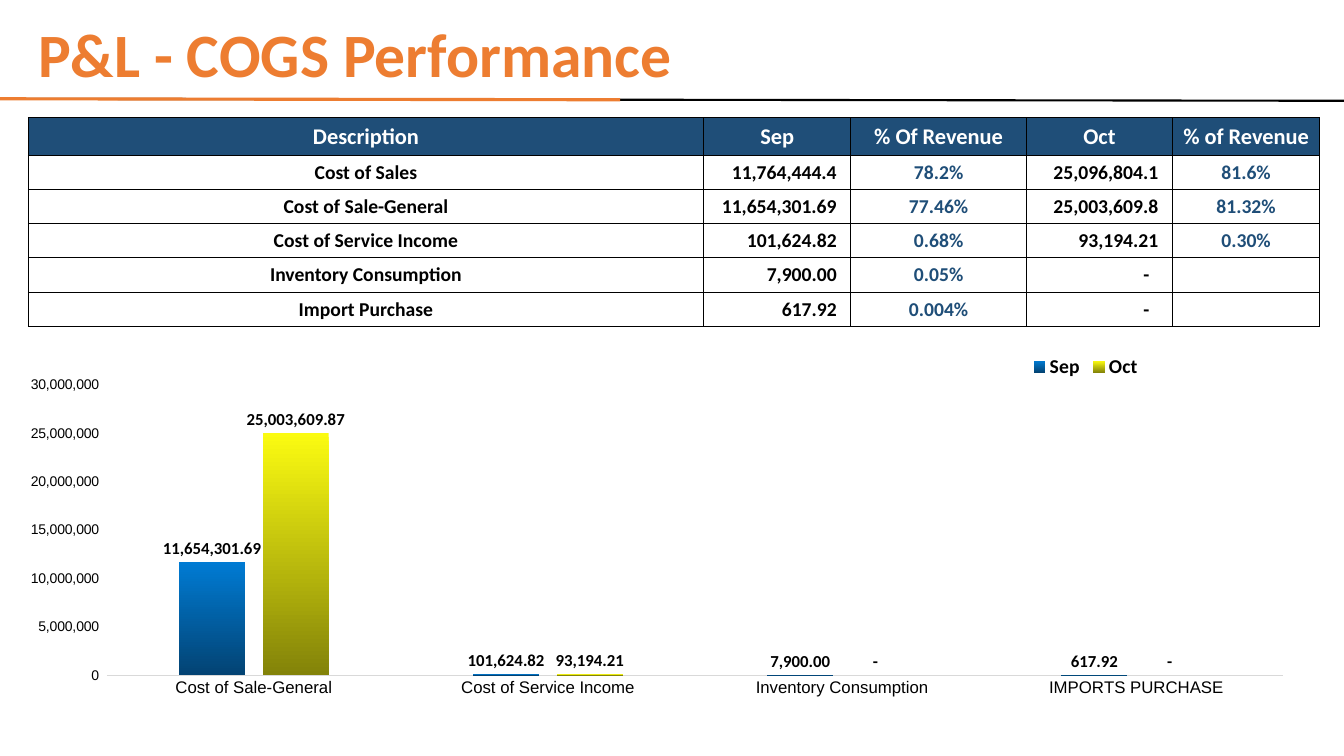
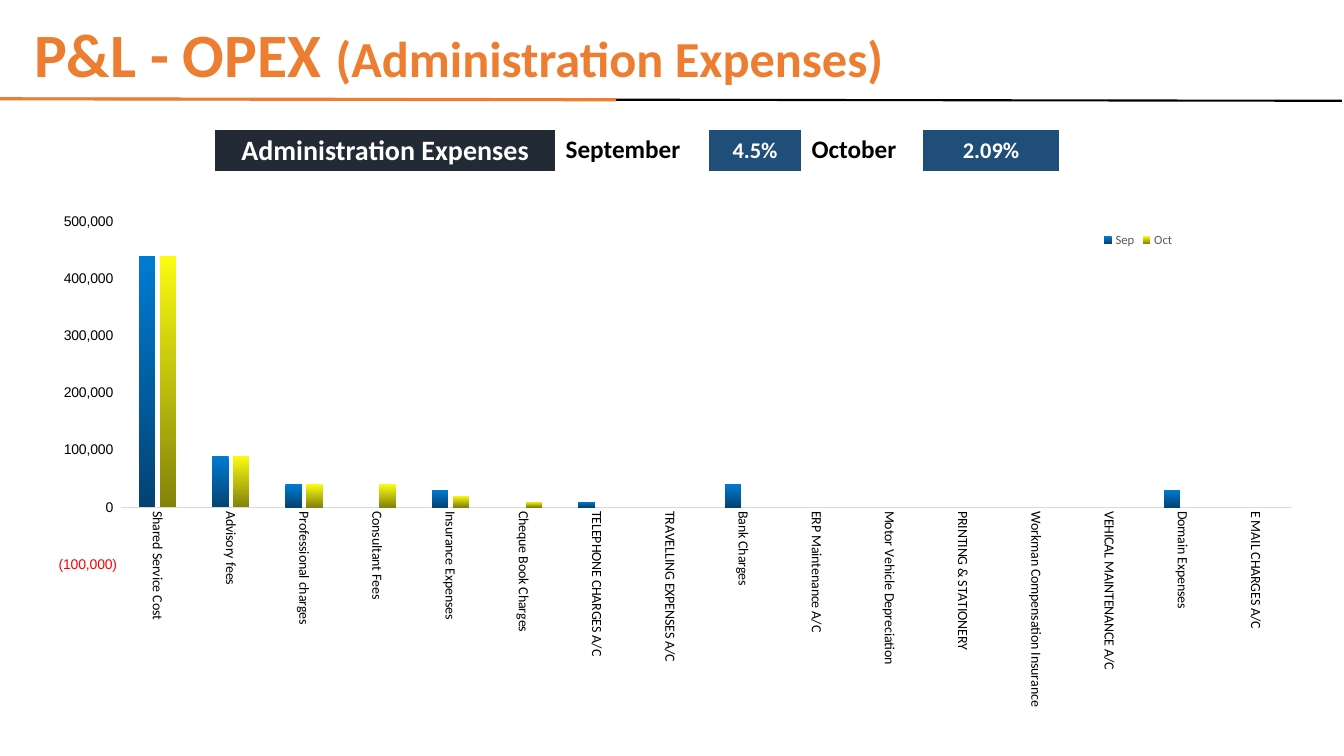
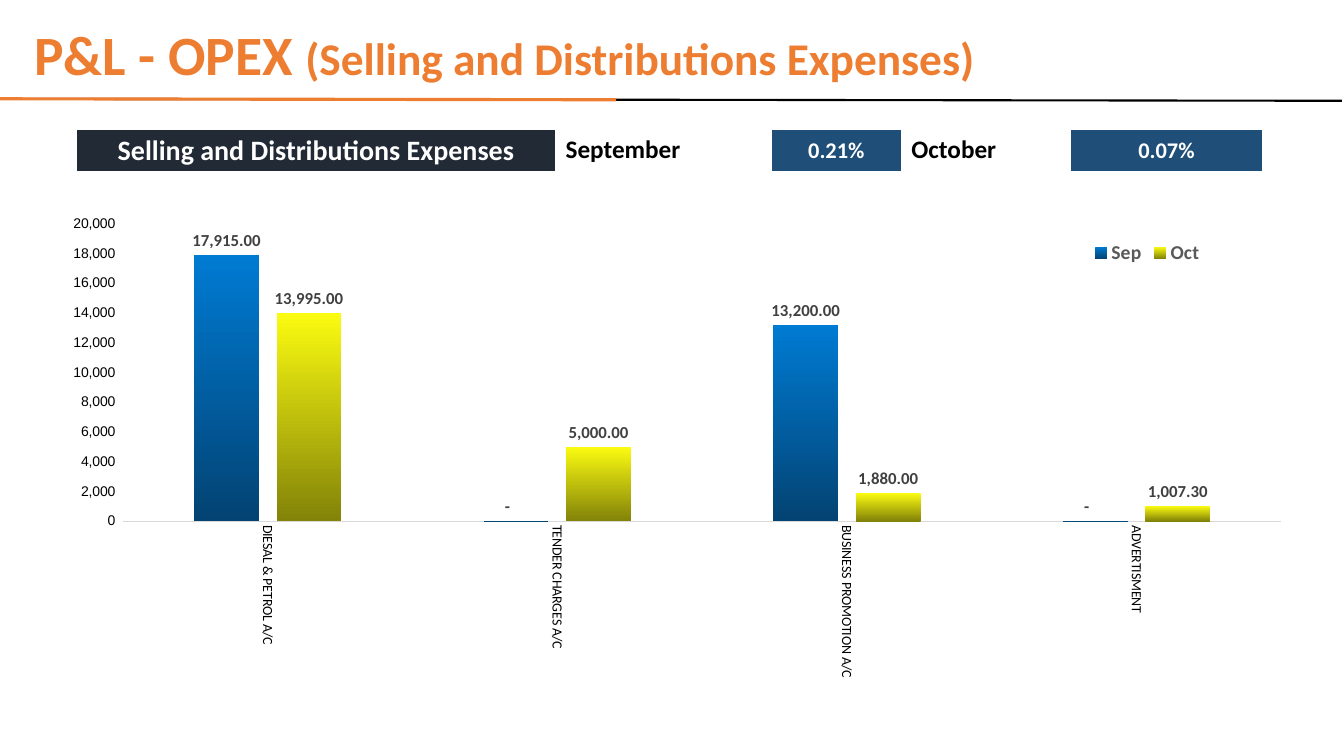
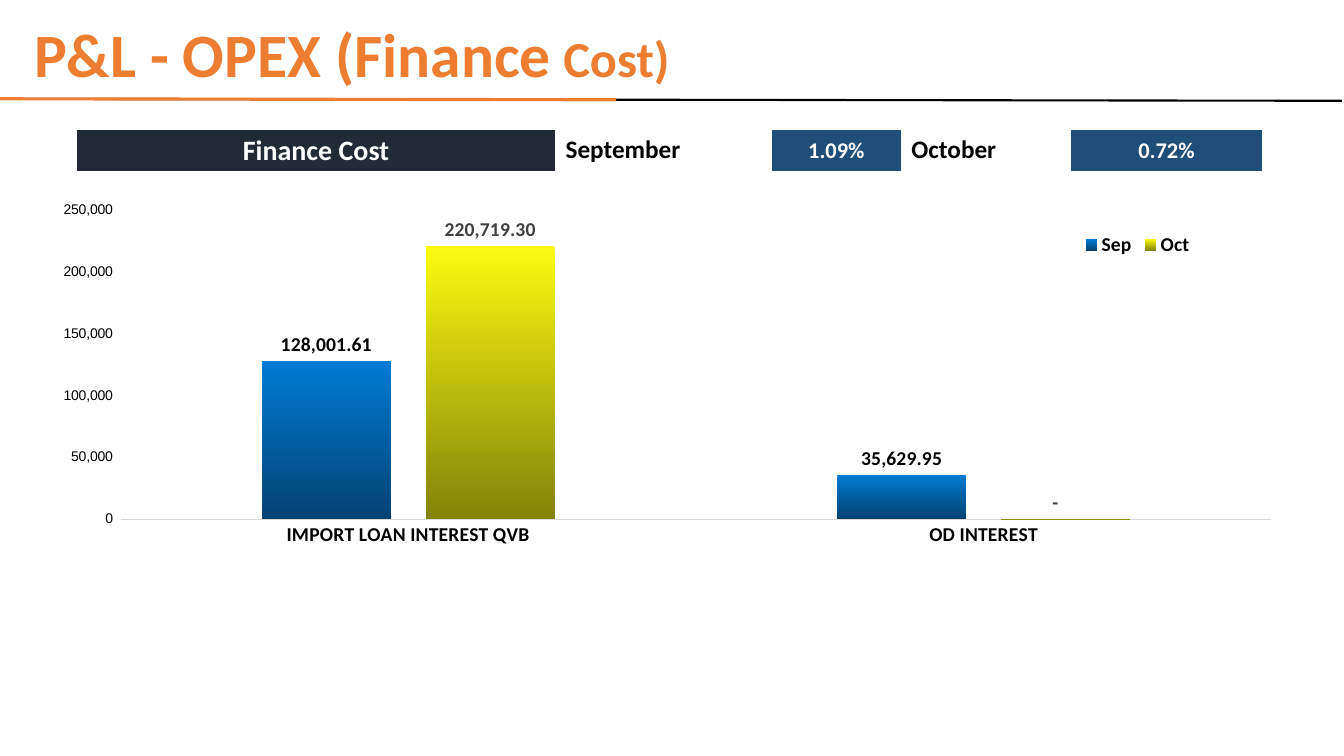
from lxml.etree import SubElement
from pptx import Presentation
from pptx.chart.data import CategoryChartData
from pptx.dml.color import RGBColor
from pptx.enum.chart import XL_CHART_TYPE as CT, XL_LABEL_POSITION as LP
from pptx.enum.chart import XL_LEGEND_POSITION as LEGEND, XL_TICK_MARK as TICK
from pptx.enum.shapes import MSO_CONNECTOR as CONN
from pptx.enum.text import MSO_ANCHOR as ANCHOR, PP_ALIGN as ALIGN
from pptx.oxml import parse_xml
from pptx.oxml.ns import nsdecls, qn
from pptx.util import Emu, Pt

PX = 9144
ORANGE, NAVY, DARK = "ED7D31", "1F4E78", "222A35"
BLACK, WHITE, AXIS = "000000", "FFFFFF", "D9D9D9"
GREY, LABEL_GREY = "595959", "404040"
GRADIENTS = [("007BD3", "034373"), ("FBFB11", "838309")]
AXIS_FORMAT = r"#,##0_);[Red]\(#,##0\)"
LABEL_FORMAT = r'_ * #,##0.00_ ;_ * \-#,##0.00_ ;_ * "-"??_ ;_ @_ '

COGS_COLS = [670, 146, 174, 145, 146]
COGS_HEAD = ["Description", "Sep", "% Of Revenue", "Oct", "% of Revenue"]
COGS_ROWS = [
    ["Cost of Sales", "11,764,444.4", "78.2%", "25,096,804.1", "81.6%"],
    ["Cost of Sale-General", "11,654,301.69", "77.46%", "25,003,609.8", "81.32%"],
    ["Cost of Service Income", "101,624.82", "0.68%", "93,194.21", "0.30%"],
    ["Inventory Consumption", "7,900.00", "0.05%", "-", ""],
    ["Import Purchase", "617.92", "0.004%", "-", ""],
]
COGS_DATA = [
    ("Cost of Sale-General", 11654301.69, 25003609.87),
    ("Cost of Service Income", 101624.82, 93194.21),
    ("Inventory Consumption", 7900, 0),
    ("IMPORTS PURCHASE", 617.92, 0),
]
ADMIN_DATA = [
    ("Shared Service Cost", 440000, 440000),
    ("Advisory fees", 90000, 90000),
    ("Professional charges", 40000, 40000),
    ("Consultant Fees", 0, 40000),
    ("Insurance Expenses", 30000, 20000),
    ("Cheque Book Charges", 0, 10000),
    ("TELEPHONE CHARGES A/C", 10000, 0),
    ("TRAVELLING EXPENSES A/C", 0, 0),
    ("Bank Charges", 40000, 0),
    ("ERP Maintenance A/C", 0, 0),
    ("Motor Vehicle Depreciation", 0, 0),
    ("PRINTING & STATIONERY", 0, 0),
    ("Workman Compensation Insurance", 0, 0),
    ("VEHICAL MAINTENANCE A/C", 0, 0),
    ("Domain Expenses", 30000, 0),
    ("E MAIL CHARGES A/C", 0, 0),
]
SELLING_DATA = [
    ("DIESAL & PETROL A/C", 17915, 13995),
    ("TENDER CHARGES A/C", 0, 5000),
    ("BUSINESS PROMOTION A/C", 13200, 1880),
    ("ADVERTISMENT", 0, 1007.3),
]
FINANCE_DATA = [
    ("IMPORT LOAN INTEREST QVB", 128001.61, 220719.3),
    ("OD INTEREST", 35629.95, 0),
]


def px(*values):
    return [Emu(v * PX) for v in values]


def rgb(color):
    return RGBColor.from_string(color)


def style_font(font, size, color, bold=False, name="Calibri"):
    font.size, font.bold, font.name = Pt(size), bold, name
    font.color.rgb = rgb(color)


def add_run(p, text, size, color):
    r = p.add_run()
    r.text = text
    style_font(r.font, size, color, True)


def add_rule(s, ends, color, width):
    line = s.shapes.add_connector(CONN.STRAIGHT, *px(*ends))
    line.line.color.rgb = rgb(color)
    line.line.width = Pt(width)
    SubElement(line._element.spPr, qn("a:effectLst"))


def add_titled_slide(prs, runs, shift=-4):
    s = prs.slides.add_slide(prs.slide_layouts[6])
    add_rule(s, (3 + shift, 98, 1335 + shift, 100), BLACK, 1.5)
    tf = s.shapes.add_textbox(*px(28 + shift, 12, 996, 91)).text_frame
    tf.word_wrap = True
    tf.vertical_anchor = ANCHOR.MIDDLE
    p = tf.paragraphs[0]
    p.line_spacing = 0.9
    for text, size in runs:
        add_run(p, text, size, ORANGE)
    add_rule(s, (shift, 98, 615 + shift, 99), ORANGE, 2.25)
    return s


def set_borders(cell, color, width, bottom):
    tc_pr = cell._tc.get_or_add_tcPr()
    for side in "LRTB":
        w = bottom if side == "B" else width
        ln = SubElement(tc_pr, qn(f"a:ln{side}"), w=str(Pt(w)))
        fill = SubElement(ln, qn("a:solidFill"))
        SubElement(fill, qn("a:srgbClr"), val=color)


def add_grid(s, left, top, cols, rows):
    frame = s.shapes.add_table(len(rows), len(cols), *px(left, top, sum(cols), sum(rows)))
    table = frame.table
    table.first_row = table.horz_banding = False
    for col, width in zip(table.columns, cols):
        col.width = Emu(width * PX)
    for row, height in zip(table.rows, rows):
        row.height = Emu(height * PX)
    return table


def fill_cell(cell, text, size, color, back, align, anchor=ANCHOR.MIDDLE):
    cell.fill.solid()
    cell.fill.fore_color.rgb = rgb(back)
    cell.vertical_anchor = anchor
    p = cell.text_frame.paragraphs[0]
    p.alignment = align
    if text:
        add_run(p, text, size, color)
    else:
        SubElement(p._p, qn("a:endParaRPr"), sz=str(size * 100))


def add_cogs_table(s):
    table = add_grid(s, 28, 117, COGS_COLS, [37] + [34] * len(COGS_ROWS))
    last = len(COGS_ROWS)
    for i, row in enumerate([COGS_HEAD] + COGS_ROWS):
        for j, text in enumerate(row):
            cell = table.cell(i, j)
            set_borders(cell, BLACK, 0.75, 1.2 if i == last else 0.75)
            if i == 0:
                fill_cell(cell, text, 16, WHITE, NAVY, ALIGN.CENTER)
            elif j in (1, 3):
                fill_cell(cell, text, 14, BLACK, WHITE, ALIGN.RIGHT)
                cell.margin_right = Emu((23 if text == "-" else 14) * PX)
            else:
                fill_cell(cell, text, 14, NAVY if j else BLACK, WHITE, ALIGN.CENTER)


def add_share_table(s, left, cols, name, sep, octo):
    table = add_grid(s, left, 128, cols, [44])
    cells = [
        (name, 20, WHITE, DARK, ALIGN.CENTER, ANCHOR.TOP),
        ("September", 18, BLACK, WHITE, ALIGN.LEFT, ANCHOR.TOP),
        (sep, 16, WHITE, NAVY, ALIGN.CENTER, ANCHOR.MIDDLE),
        ("October", 18, BLACK, WHITE, ALIGN.LEFT, ANCHOR.TOP),
        (octo, 16, WHITE, NAVY, ALIGN.CENTER, ANCHOR.MIDDLE),
    ]
    for j, content in enumerate(cells):
        set_borders(table.cell(0, j), WHITE, 1, 3)
        fill_cell(table.cell(0, j), *content)


def place(element, index, box, area, target=""):
    for old in element.findall(qn("c:layout")):
        element.remove(old)
    origin = area[:2] + (0, 0)
    sizes = area[2:] * 2
    modes = "".join(f'<c:{k}Mode val="edge"/>' for k in "xy")
    parts = "".join(
        f'<c:{k} val="{(v - o) / size:.4f}"/>'
        for k, v, o, size in zip("xywh", box, origin, sizes)
    )
    element.insert(index, parse_xml(
        f'<c:layout {nsdecls("c")}><c:manualLayout>{target}{modes}{parts}'
        "</c:manualLayout></c:layout>"
    ))


def add_columns(s, area, plot_box, legend_at, data, scale, cat_font, legend_font,
                labels=None, turned=False):
    cd = CategoryChartData()
    names, sep, octo = zip(*data)
    cd.categories = names
    cd.add_series("Sep", sep)
    cd.add_series("Oct", octo)
    chart = s.shapes.add_chart(CT.COLUMN_CLUSTERED, *px(*area), cd).chart
    chart.has_title = False
    style_font(chart.font, 10, BLACK)
    plot = chart.plots[0]
    plot.gap_width, plot.overlap, plot.vary_by_categories = 219, -27, False
    for i, (ser, ends) in enumerate(zip(plot.series, GRADIENTS)):
        fill = ser.format.fill
        fill.gradient()
        fill.gradient_angle = 270
        for stop, color in zip(fill.gradient_stops, ends):
            stop.color.rgb = rgb(color)
        if labels:
            size, colors = labels
            dl = ser.data_labels
            dl.show_value = True
            dl.position = LP.OUTSIDE_END
            dl.number_format = LABEL_FORMAT
            dl.number_format_is_linked = False
            style_font(dl.font, size, colors[i], True)

    cat, val = chart.category_axis, chart.value_axis
    for axis in (cat, val):
        axis.major_tick_mark = axis.minor_tick_mark = TICK.NONE
        axis.has_major_gridlines = False
    cat.format.line.color.rgb = rgb(AXIS)
    cat.format.line.width = Pt(0.75)
    style_font(cat.tick_labels.font, *cat_font)
    if turned:
        body = cat._element.find(qn("c:txPr")).find(qn("a:bodyPr"))
        body.set("rot", "5400000")
        body.set("vert", "horz")
    val.format.line.fill.background()
    val.minimum_scale, val.maximum_scale, val.major_unit = scale
    val.tick_labels.number_format = AXIS_FORMAT
    val.tick_labels.number_format_is_linked = False
    style_font(val.tick_labels.font, 10, BLACK, False, "Arial")

    chart.has_legend = True
    legend = chart.legend
    legend.position = LEGEND.BOTTOM
    legend.include_in_layout = False
    style_font(legend.font, *legend_font)
    place(legend._element, 1, legend_at, area)
    place(chart._chartSpace.chart.plotArea, 0, plot_box, area,
          '<c:layoutTarget val="inner"/>')


def main():
    prs = Presentation()
    prs.slide_width, prs.slide_height = px(1333, 750)
    wide_cols = [475, 214, 129, 168, 190]

    s = add_titled_slide(prs, [("P&L - COGS Performance", 44)], 0)
    add_cogs_table(s)
    add_columns(s, (28, 340, 1268, 372), (106, 382, 1167, 288), (1019, 348), COGS_DATA,
                (0, 30000000, 5000000), (12, BLACK, False, "Arial"), (14, BLACK, True),
                (12, (BLACK, BLACK)))

    s = add_titled_slide(prs, [("P&L - OPEX ", 44), ("(Administration Expenses)", 36)])
    add_share_table(s, 213, [338, 152, 92, 120, 136],
                    "Administration Expenses", "4.5%", "2.09%")
    add_columns(s, (58, 199, 1249, 512), (120, 220, 1162, 340), (1091, 227), ADMIN_DATA,
                (-100000, 500000, 100000), (10, BLACK), (9, GREY), turned=True)

    s = add_titled_slide(prs, [("P&L - OPEX ", 39.6),
                               ("(Selling and Distributions Expenses)", 32.4)])
    add_share_table(s, 76, wide_cols, "Selling and Distributions Expenses", "0.21%", "0.07%")
    add_columns(s, (67, 208, 1227, 483), (122, 222, 1149, 295), (1080, 235), SELLING_DATA,
                (0, 20000, 2000), (10, BLACK), (14, GREY, True),
                (12, (LABEL_GREY, LABEL_GREY)), True)

    s = add_titled_slide(prs, [("P&L - OPEX (Finance", 44), (" Cost)", 36)])
    add_share_table(s, 76, wide_cols, "Finance Cost", "1.09%", "0.72%")
    add_columns(s, (63, 200, 1223, 502), (118, 208, 1143, 307), (1070, 227), FINANCE_DATA,
                (0, 250000, 50000), (14, BLACK, True), (14, BLACK, True),
                (14, (BLACK, LABEL_GREY)))

    prs.save("out.pptx")


if __name__ == "__main__":
    main()
